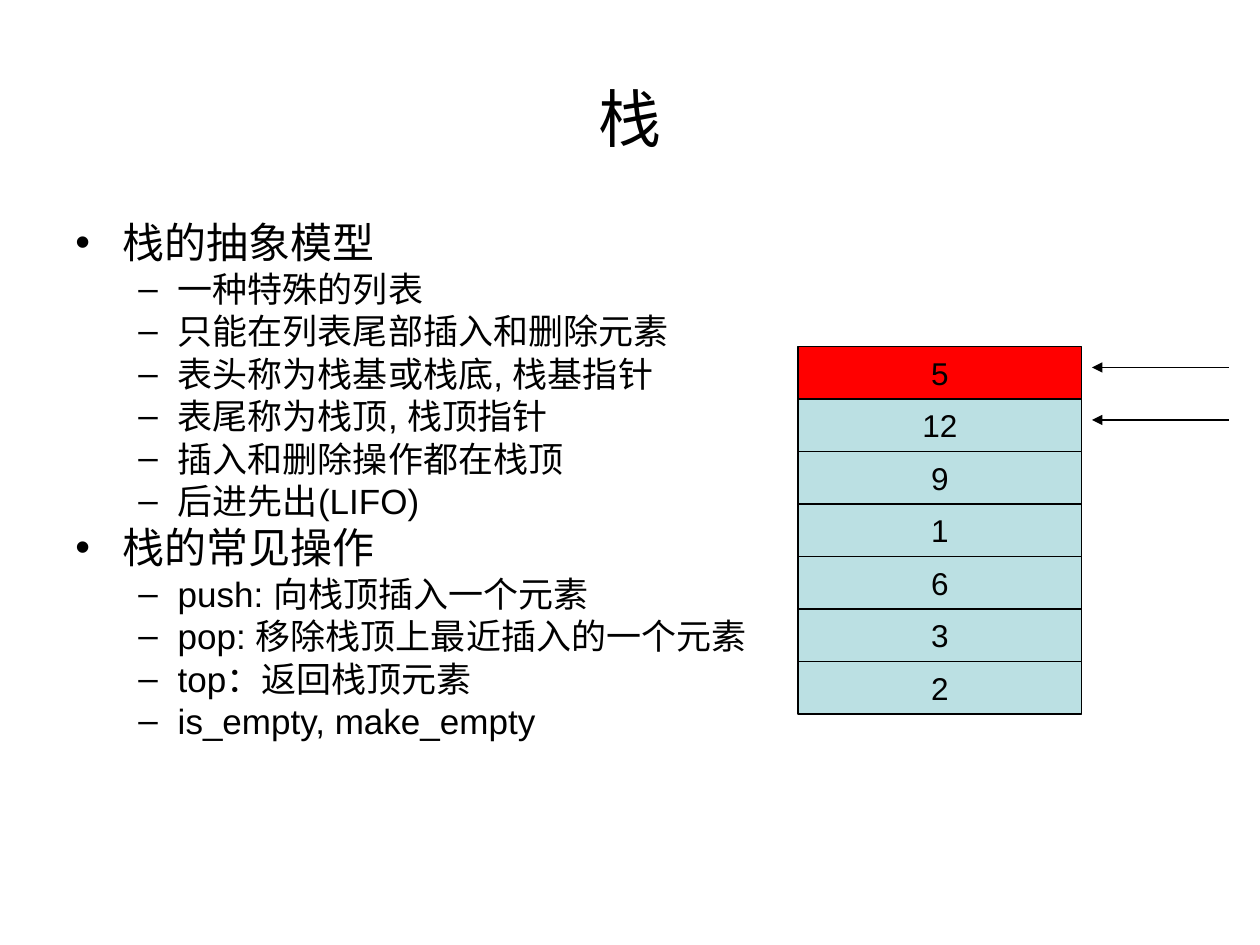
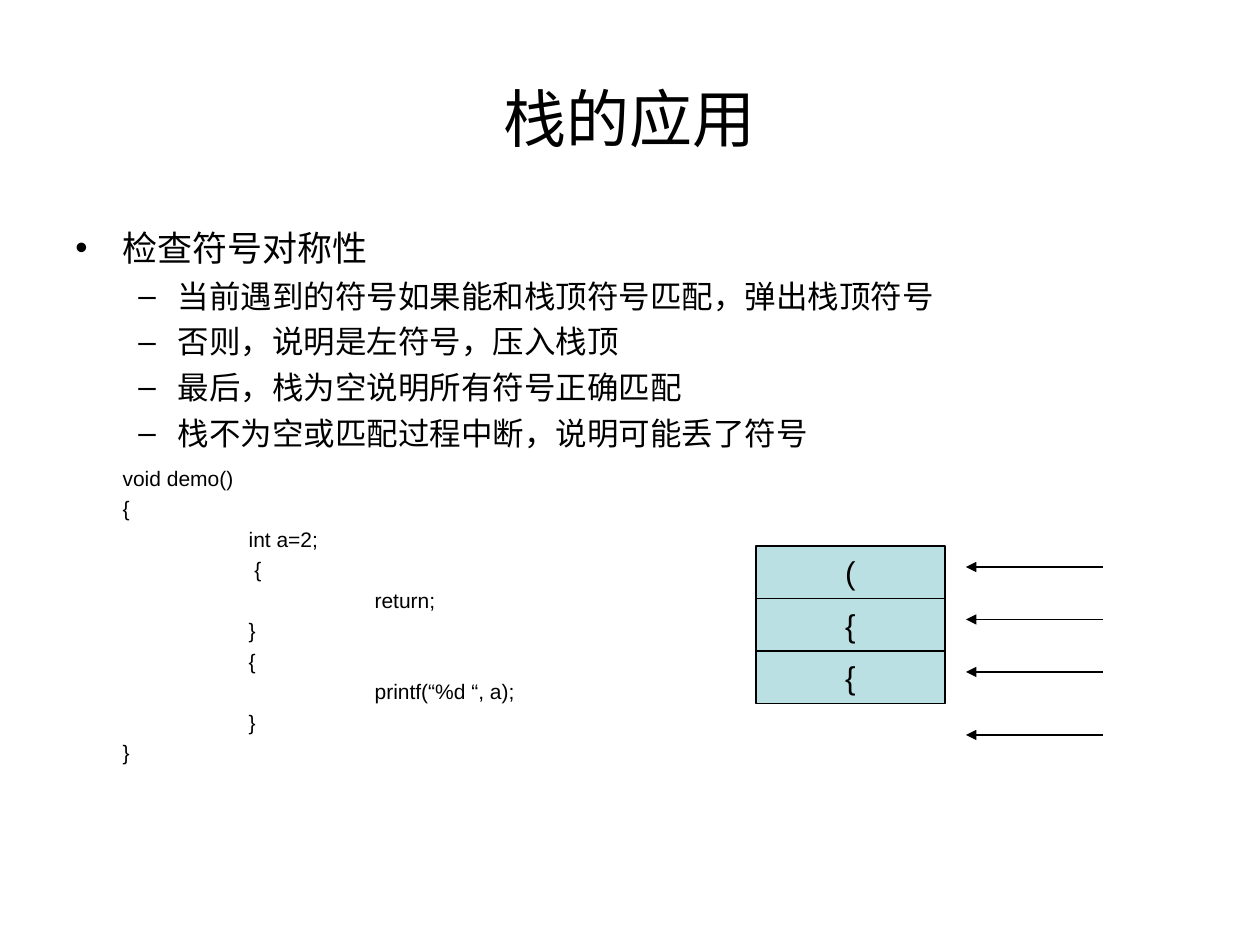
import lxml.etree
import pptx
import pptx.dml.color
import pptx.enum.shapes
import pptx.enum.text
import pptx.oxml.ns
import pptx.util

PX = 9525  # EMU in one px, 96 px to the inch
FONT = "Arial"
BLACK, TEAL, RED = "000000", "BBE0E3", "FF0000"
TITLE = (48, 29, 864, 120)
BODY = (48, 168, 864, 440)
ROW = 40
ARROW = 104
MARKS = "•–"
INDENT = ((36, -36), (78, -30))  # left margin and first line, by level
TAB = 96
CENTER = pptx.enum.text.PP_ALIGN.CENTER
MIDDLE = pptx.enum.text.MSO_ANCHOR.MIDDLE

MODEL = [
    (0, "栈的抽象模型"),
    (1, "一种特殊的列表"),
    (1, "只能在列表尾部插入和删除元素"),
    (1, "表头称为栈基或栈底, 栈基指针"),
    (1, "表尾称为栈顶, 栈顶指针"),
    (1, "插入和删除操作都在栈顶"),
    (1, "后进先出(LIFO)"),
    (0, "栈的常见操作"),
    (1, "push: 向栈顶插入一个元素"),
    (1, "pop: 移除栈顶上最近插入的一个元素"),
    (1, "top：返回栈顶元素"),
    (1, "is_empty, make_empty"),
]
CHECK = [
    (0, "检查符号对称性"),
    (1, "当前遇到的符号如果能和栈顶符号匹配，弹出栈顶符号"),
    (1, "否则，说明是左符号，压入栈顶"),
    (1, "最后，栈为空说明所有符号正确匹配"),
    (1, "栈不为空或匹配过程中断，说明可能丢了符号"),
]
CODE = [
    (0, "void demo()"),
    (0, "{"),
    (1, "int a=2;"),
    (1, " {"),
    (2, "return;"),
    (1, "}"),
    (1, "{"),
    (2, "printf(“%d “, a);"),
    (1, "}"),
    (0, "}"),
]


def px(*nums):
    return [pptx.util.Emu(n * PX) for n in nums]


def color(text):
    return pptx.dml.color.RGBColor.from_string(text)


def add_tag(parent, name, **attrs):
    tag = lxml.etree.SubElement(parent, pptx.oxml.ns.qn(name))
    for key, value in attrs.items():
        tag.set(key, value)
    return tag


def style(para, size):
    for run in para.runs:
        run.font.name = FONT
        run.font.size = pptx.util.Pt(size)
        run.font.color.rgb = color(BLACK)


def indent(para, left, first):
    props = para._p.get_or_add_pPr()
    props.set("marL", str(left * PX))
    props.set("indent", str(first * PX))
    return props


def add_box(slide, box):
    frame = slide.shapes.add_textbox(*px(*box)).text_frame
    frame.word_wrap = True
    return frame


def add_title(slide, text):
    frame = add_box(slide, TITLE)
    frame.vertical_anchor = MIDDLE
    frame.text = text
    para = frame.paragraphs[0]
    para.alignment = CENTER
    style(para, 36)


def add_lines(frame, lines):
    """Append (level, text) lines; give back each level with its paragraph."""
    for level, text in lines:
        last = frame.paragraphs[-1]
        para = frame.add_paragraph() if last.text else last
        para.text = text
        yield level, para


def add_list(frame, items, sizes, space=None):
    for level, para in add_lines(frame, items):
        size = sizes[level]
        para.level = level
        para.space_before = pptx.util.Pt(size / 4)
        if space:
            para.line_spacing = space
        props = indent(para, *INDENT[level])
        add_tag(props, "a:buFont", typeface=FONT)
        add_tag(props, "a:buChar", char=MARKS[level])
        style(para, size)


def add_code(frame, lines):
    gap = 8
    for depth, para in add_lines(frame, lines):
        para.space_before = pptx.util.Pt(gap)
        indent(para, INDENT[0][0] + depth * TAB, 0)
        style(para, 12)
        gap = 3


def add_cell(slide, box, text, fill):
    kind = pptx.enum.shapes.MSO_SHAPE.RECTANGLE
    cell = slide.shapes.add_shape(kind, *px(*box))
    cell.shadow.inherit = False
    cell.fill.solid()
    cell.fill.fore_color.rgb = color(fill)
    cell.line.color.rgb = color(BLACK)
    cell.line.width = pptx.util.Pt(0.75)
    frame = cell.text_frame
    frame.word_wrap = False
    frame.vertical_anchor = MIDDLE
    frame.text = text
    para = frame.paragraphs[0]
    para.alignment = CENTER
    style(para, 18)


def add_arrow(slide, left, y):
    """Draw an arrow that points left, with its head at left."""
    kind = pptx.enum.shapes.MSO_CONNECTOR.STRAIGHT
    arrow = slide.shapes.add_connector(kind, *px(left + ARROW, y, left, y))
    arrow.line.color.rgb = color(BLACK)
    arrow.line.width = pptx.util.Pt(0.75)
    add_tag(arrow.line._get_or_add_ln(), "a:tailEnd", type="triangle")
    add_tag(arrow._element.spPr, "a:effectLst")


def add_stack(slide, left, top, width, cells, gap, marks):
    """Draw cells from the bottom up, and arrows at marks px below the top."""
    for row, (text, fill) in reversed(list(enumerate(cells))):
        add_cell(slide, (left, top + row * ROW, width, ROW), text, fill)
    for mark in marks:
        add_arrow(slide, left + width + gap, top + mark)


def add_slide(deck, title):
    slide = deck.slides.add_slide(deck.slide_layouts[6])
    add_title(slide, title)
    return slide, add_box(slide, BODY)


def build_model(deck):
    slide, frame = add_slide(deck, "栈")
    add_list(frame, MODEL, (24, 20), 0.8)
    cells = [("5", RED)] + [(num, TEAL) for num in "12 9 1 6 3 2".split()]
    add_stack(slide, 608, 264, 216, cells, 8, (16, 56))


def build_check(deck):
    slide, frame = add_slide(deck, "栈的应用")
    add_list(frame, CHECK, (20, 18))
    add_code(frame, CODE)
    cells = [(sign, TEAL) for sign in "({{"]
    add_stack(slide, 576, 416, 144, cells, 16, (16, 56, 96, 144))


def main():
    deck = pptx.Presentation()
    deck.slide_width, deck.slide_height = px(960, 720)
    build_model(deck)
    build_check(deck)
    deck.save("out.pptx")


if __name__ == "__main__":
    main()
